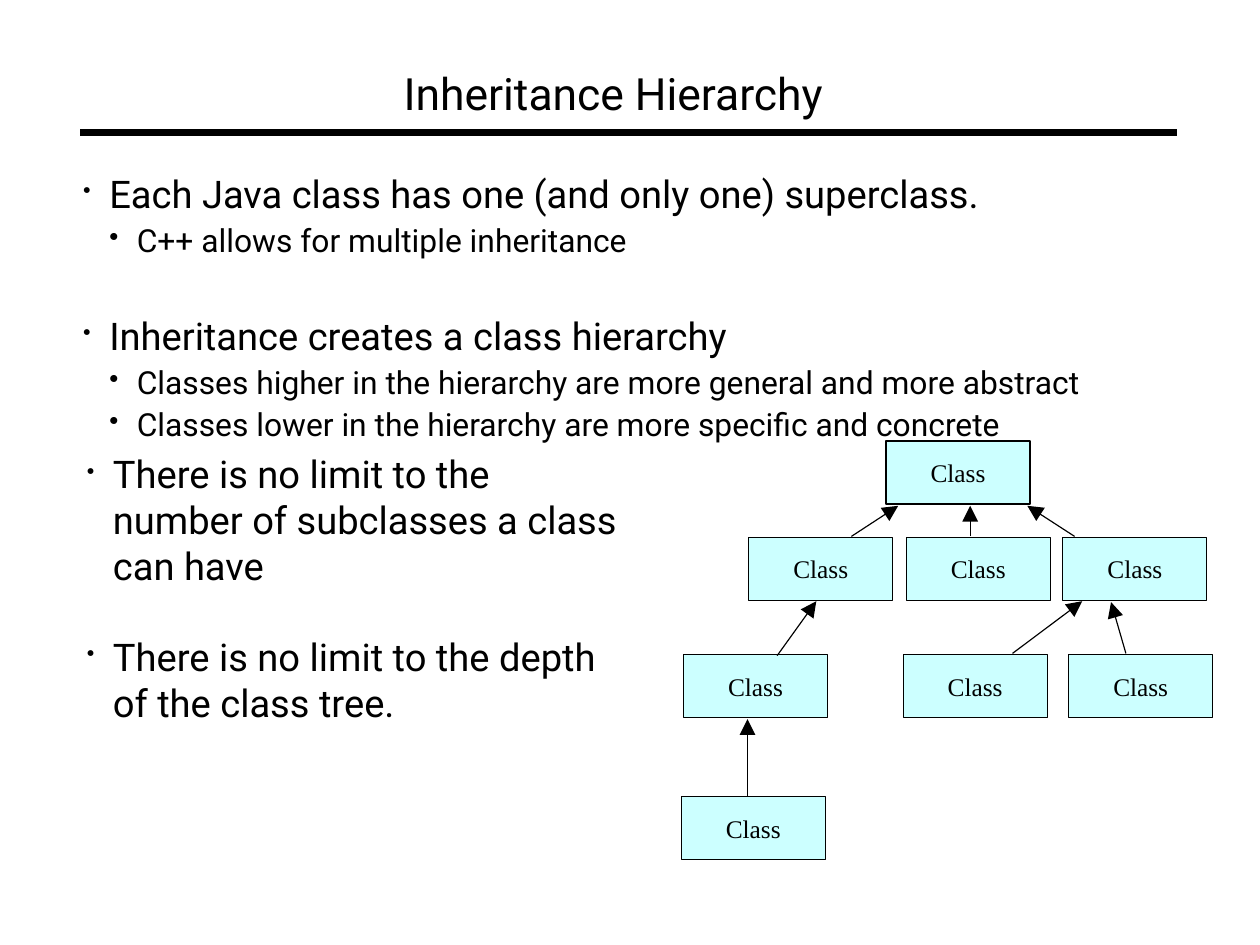
import dataclasses

import lxml.etree
import pptx
import pptx.dml.color
import pptx.enum.shapes
import pptx.enum.text
import pptx.oxml
import pptx.oxml.ns
import pptx.util

Cm = pptx.util.Cm
Pt = pptx.util.Pt
qn = pptx.oxml.ns.qn


@dataclasses.dataclass
class Theme:
    ink: str = "000000"
    box_fill: str = "CCFFFF"
    body_font: str = "Roboto"
    box_font: str = "Times New Roman"
    title_size: float = 28
    # Per bullet level: text size, left indent, hanging indent (cm), bullet percent
    levels: tuple = ((24, 0.58, 0.58, 59), (20, 1.19, 0.61, 85))
    box_size: float = 16
    bullet_gap: float = 2.8
    rule_width: float = 4.31
    line_width: float = 0.75


def color(value):
    return pptx.dml.color.RGBColor.from_string(value)


def write_text(paragraph, text, *, font, size, ink, align="LEFT", space_before=0):
    paragraph.alignment = getattr(pptx.enum.text.PP_ALIGN, align)
    paragraph.space_before = Pt(space_before)
    run = paragraph.add_run()
    run.text = text
    run.font.name = font
    run.font.size = Pt(size)
    run.font.color.rgb = color(ink)


class SlideBuilder:
    def __init__(self, slide, theme):
        self.slide = slide
        self.theme = theme

    def prepare_frame(self, shape, anchor="TOP"):
        frame = shape.text_frame
        frame.word_wrap = True
        frame.margin_left = frame.margin_right = 0
        frame.margin_top = frame.margin_bottom = 0
        frame.vertical_anchor = getattr(pptx.enum.text.MSO_ANCHOR, anchor)
        return frame

    def title(self, text, left, top, width, height):
        shape = self.slide.shapes.title
        shape.left, shape.top = Cm(left), Cm(top)
        shape.width, shape.height = Cm(width), Cm(height)
        frame = self.prepare_frame(shape)
        write_text(frame.paragraphs[0], text, font=self.theme.body_font,
                   size=self.theme.title_size, ink=self.theme.ink)

    def add_bullet(self, paragraph, level):
        _, indent, hanging, percent = self.theme.levels[level]
        paragraph.level = level
        properties = paragraph._p.get_or_add_pPr()
        properties.set("marL", str(Cm(indent)))
        properties.set("indent", str(-Cm(hanging)))
        bullet_color = lxml.etree.SubElement(properties, qn("a:buClr"))
        lxml.etree.SubElement(bullet_color, qn("a:srgbClr"), val=self.theme.ink)
        lxml.etree.SubElement(properties, qn("a:buSzPct"), val=str(percent * 1000))
        lxml.etree.SubElement(properties, qn("a:buChar"), char="•")

    def bullets(self, items, left, top, width, height):
        """Each item is (level, text, extra space before in points)."""
        box = self.slide.shapes.add_textbox(Cm(left), Cm(top), Cm(width), Cm(height))
        frame = self.prepare_frame(box)
        for index, (level, text, extra) in enumerate(items):
            paragraph = frame.add_paragraph() if index else frame.paragraphs[0]
            self.add_bullet(paragraph, level)
            write_text(paragraph, text, font=self.theme.body_font,
                       size=self.theme.levels[level][0], ink=self.theme.ink,
                       space_before=self.theme.bullet_gap + extra if index else 0)

    def class_box(self, left, top, width=3.2, height=1.4):
        shape = self.slide.shapes.add_shape(
            pptx.enum.shapes.MSO_SHAPE.ROUNDED_RECTANGLE,
            Cm(left), Cm(top), Cm(width), Cm(height))
        shape.adjustments[0] = 0
        shape.shadow.inherit = False
        shape.fill.solid()
        shape.fill.fore_color.rgb = color(self.theme.box_fill)
        shape.line.color.rgb = color(self.theme.ink)
        shape.line.width = Pt(self.theme.line_width)
        frame = self.prepare_frame(shape, anchor="MIDDLE")
        write_text(frame.paragraphs[0], "Class", font=self.theme.box_font,
                   size=self.theme.box_size, ink=self.theme.ink, align="CENTER")

    def line(self, start, end, width, arrow=False):
        connector = self.slide.shapes.add_connector(
            pptx.enum.shapes.MSO_CONNECTOR.STRAIGHT,
            *(Cm(value) for value in (*start, *end)))
        connector.line.color.rgb = color(self.theme.ink)
        connector.line.width = Pt(width)
        if arrow:
            lxml.etree.SubElement(connector.line._get_or_add_ln(), qn("a:tailEnd"),
                                  type="triangle", w="lg", len="lg")
        lxml.etree.SubElement(connector._element.spPr, qn("a:effectLst"))


def main():
    presentation = pptx.Presentation()
    presentation.slide_width, presentation.slide_height = Cm(28), Cm(21)
    slide = presentation.slides.add_slide(presentation.slide_layouts[5])
    theme = Theme()
    builder = SlideBuilder(slide, theme)

    # Title and rule
    builder.title("Inheritance Hierarchy", 8.97, 1.47, 11.76, 1.14)
    builder.line((1.78, 2.95), (26.16, 2.95), theme.rule_width)

    # Bullet lists
    builder.bullets([
        (0, "Each Java class has one (and only one) superclass.", 0),
        (1, "C++ allows for multiple inheritance", 0),
        (0, "Inheritance creates a class hierarchy", 31),
        (1, "Classes higher in the hierarchy are more general and more abstract", 0),
        (1, "Classes lower in the hierarchy are more specific and concrete", 0),
    ], 1.85, 3.79, 23.8, 6)
    builder.bullets([
        (0, "There is no limit to the number of subclasses a class can have", 0),
        (0, "There is no limit to the depth of the class tree.", 26),
    ], 1.93, 10.02, 11.99, 5)

    # Class tree: row top and the left edges of its boxes
    tree_rows = {
        9.8: (19.69,),
        11.94: (16.64, 20.14, 23.62),
        14.55: (15.19, 20.07, 23.75),
        17.7: (15.14,),
    }
    for top, lefts in tree_rows.items():
        for left in lefts:
            builder.class_box(left, top)

    # Arrows from subclass to superclass
    for start, end in (
        ((18.92, 11.92), (19.96, 11.24)),
        ((21.56, 11.92), (21.56, 11.24)),
        ((23.88, 11.92), (22.83, 11.24)),
        ((17.27, 14.57), (18.14, 13.36)),
        ((22.5, 14.52), (24.05, 13.36)),
        ((25.02, 14.52), (24.69, 13.38)),
        ((16.61, 17.7), (16.61, 15.98)),
    ):
        builder.line(start, end, theme.line_width, arrow=True)

    presentation.save("out.pptx")


if __name__ == "__main__":
    main()
